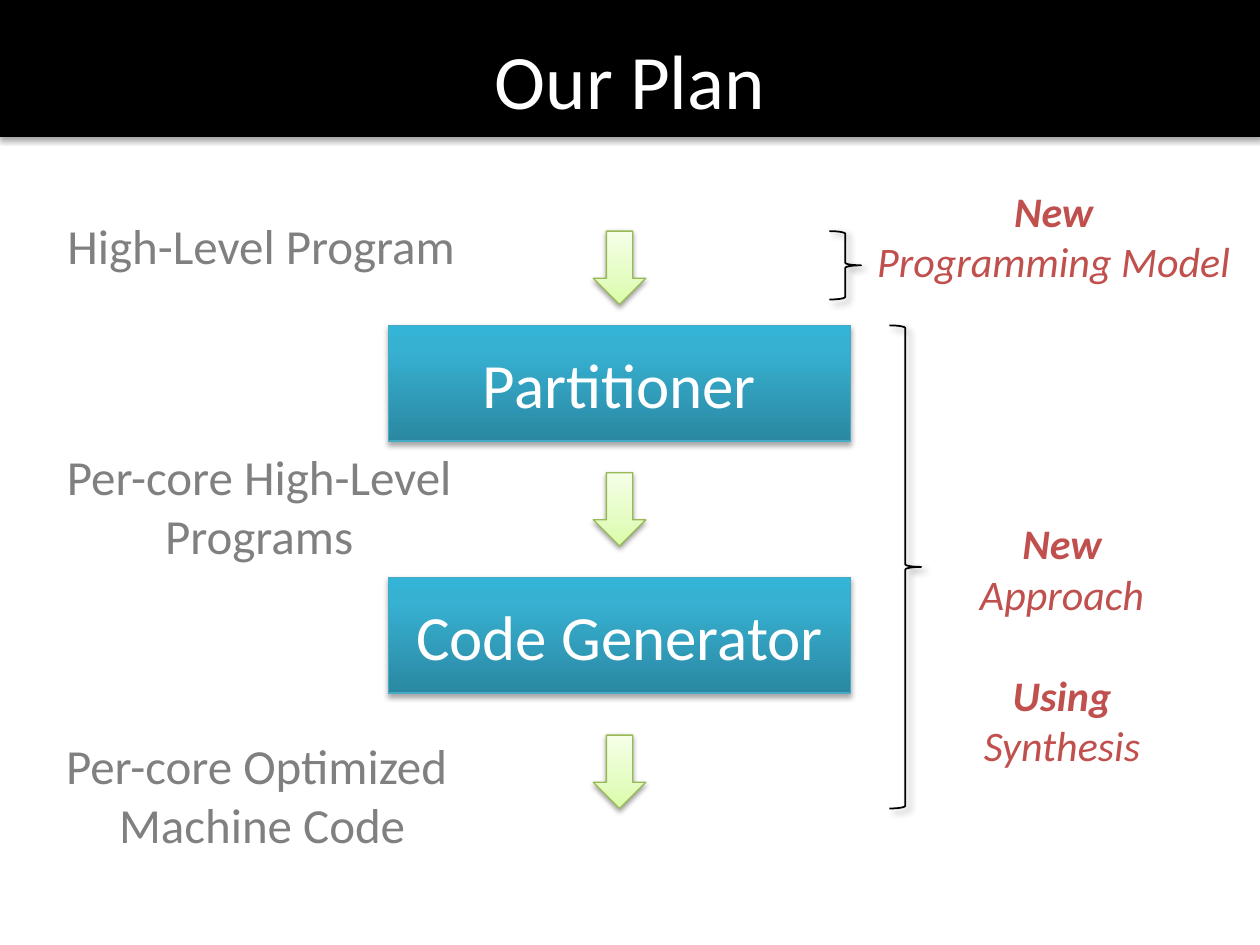
from dataclasses import dataclass

from lxml.etree import SubElement
from pptx import Presentation
from pptx.dml.color import RGBColor
from pptx.enum.shapes import MSO_SHAPE as Preset
from pptx.enum.text import MSO_ANCHOR as Anchor, PP_ALIGN as Align
from pptx.oxml.ns import qn
from pptx.shapes.autoshape import Shape
from pptx.slide import Slide
from pptx.text.text import TextFrame
from pptx.util import Cm, Pt


@dataclass(frozen=True)
class Shadow:
    opacity: int
    blur: float
    distance: float
    angle: int


@dataclass(frozen=True)
class Theme:
    font: str = "Calibri"
    black: str = "000000"
    white: str = "FFFFFF"
    gray: str = "808080"
    red: str = "C0504D"
    stage_line: str = "46AAC5"
    arrow_line: str = "98B955"
    stage_stops: tuple = ((0, "2A88A2"), (80, "37B1D2"), (100, "34B4D6"))
    arrow_stops: tuple = ((0, "DAFDA7"), (35, "E4FCC2"), (100, "F5FFE7"))
    block_shadow: Shadow = Shadow(35, 3.1, 1.8, 90)
    arrow_shadow: Shadow = Shadow(38, 3.1, 1.6, 90)
    brace_shadow: Shadow = Shadow(40, 4, 3, 45)
    title_size: int = 44
    stage_size: int = 36
    label_size: int = 28
    note_size: int = 24


THEME = Theme()


@dataclass(frozen=True)
class Box:
    """Place and size in centimetres."""
    left: float
    top: float
    width: float
    height: float

    def lengths(self) -> tuple:
        return Cm(self.left), Cm(self.top), Cm(self.width), Cm(self.height)


@dataclass(frozen=True)
class Line:
    text: str
    bold: bool = False
    italic: bool = False


@dataclass(frozen=True)
class Caption:
    """Paragraphs of lines; paragraph_gaps holds the points before each paragraph."""
    box: Box
    paragraphs: tuple
    size: int
    color: str
    wrap: bool = False
    paragraph_gaps: tuple = (0, 0, 0)


def label(box: Box, *texts: str, wrap: bool = False) -> Caption:
    lines = tuple(Line(text) for text in texts)
    return Caption(box, (lines,), THEME.label_size, THEME.gray, wrap)


def strong(text: str) -> Line:
    return Line(text, bold=True, italic=True)


def slanted(text: str) -> Line:
    return Line(text, italic=True)


CENTER = 12.49
STAGE_SIZE = (9.32, 2.33)
ARROW_SIZE = (1.06, 1.48)
STAGES = ((6.56, "Partitioner"), (11.64, "Code Generator"))
ARROW_TOPS = (4.66, 9.53, 14.82)
BRACES = (Box(16.72, 4.66, 0.64, 1.38), Box(17.93, 6.56, 0.64, 9.74))
CAPTIONS = (
    label(Box(1.06, 4.23, 8.41, 1.45), "High-Level Program"),
    label(Box(-0.63, 8.87, 11.71, 2.64), "Per-core High-Level", "Programs", wrap=True),
    label(Box(1.02, 14.7, 8.53, 2.64), "Per-core Optimized ", "Machine Code"),
    Caption(Box(17.25, 3.61, 7.98, 2.31),
            ((strong("New"), slanted("Programming Model")),),
            THEME.note_size, THEME.red),
    Caption(Box(19.48, 10.31, 3.86, 6.4),
            ((strong("New"), slanted("Approach")),
             (strong("Using"),), (slanted("Synthesis"),)),
            THEME.note_size, THEME.red, paragraph_gaps=(0, 29, 0)),
)


def centered(top: float, size: tuple) -> Box:
    return Box(CENTER - size[0] / 2, top, *size)


def set_font(font, size: int, color: str, bold: bool = False, italic: bool = False) -> None:
    values = {"name": THEME.font, "size": Pt(size), "bold": bold, "italic": italic}
    for name, value in values.items():
        setattr(font, name, value)
    font.color.rgb = RGBColor.from_string(color)


def write(frame: TextFrame, paragraphs: tuple, size: int, color: str,
          gaps: tuple = (0, 0, 0)) -> None:
    for index, lines in enumerate(paragraphs):
        paragraph = frame.add_paragraph() if index else frame.paragraphs[0]
        paragraph.alignment = Align.CENTER
        if gaps[index]:
            paragraph.space_before = Pt(gaps[index])
        for number, line in enumerate(lines):
            if number:
                paragraph.add_line_break()
            run = paragraph.add_run()
            run.text = line.text
            set_font(run.font, size, color, line.bold, line.italic)


def set_gradient(shape: Shape, stops: tuple) -> None:
    """Fill upward through any number of (percent, colour) stops."""
    shape.fill.gradient()
    shape.fill.gradient_angle = 90
    stop_list = shape.element.spPr.find(qn("a:gradFill")).find(qn("a:gsLst"))
    stop_list.clear()
    for percent, color in stops:
        stop = SubElement(stop_list, qn("a:gs"), pos=str(percent * 1000))
        SubElement(stop, qn("a:srgbClr"), val=color)


def set_shadow(shape: Shape, shadow: Shadow) -> None:
    shape.shadow.inherit = False
    effects = shape.element.spPr.find(qn("a:effectLst"))
    outer = SubElement(effects, qn("a:outerShdw"), blurRad=str(Pt(shadow.blur)),
                       dist=str(Pt(shadow.distance)), dir=str(shadow.angle * 60000),
                       rotWithShape="0")
    color = SubElement(outer, qn("a:srgbClr"), val=THEME.black)
    SubElement(color, qn("a:alpha"), val=str(shadow.opacity * 1000))


def add_preset(slide: Slide, preset: Preset, box: Box, line_color: str,
               shadow: Shadow, line_width: float = 0.75) -> Shape:
    shape = slide.shapes.add_shape(preset, *box.lengths())
    shape.line.color.rgb = RGBColor.from_string(line_color)
    shape.line.width = Pt(line_width)
    set_shadow(shape, shadow)
    return shape


def add_header(slide: Slide) -> None:
    bar = add_preset(slide, Preset.RECTANGLE, Box(0, 0, 25.4, 2.75),
                     THEME.black, THEME.block_shadow)
    bar.fill.solid()
    bar.fill.fore_color.rgb = RGBColor.from_string(THEME.black)
    title = slide.shapes.title
    title.element.addprevious(bar.element)
    title.left, title.top, title.width, title.height = Box(1.27, 0, 22.86, 3.18).lengths()
    title.text_frame.vertical_anchor = Anchor.MIDDLE
    write(title.text_frame, ((Line("Our Plan"),),), THEME.title_size, THEME.white)


def add_stage(slide: Slide, top: float, text: str) -> None:
    stage = add_preset(slide, Preset.RECTANGLE, centered(top, STAGE_SIZE),
                       THEME.stage_line, THEME.block_shadow)
    set_gradient(stage, THEME.stage_stops)
    stage.text_frame.vertical_anchor = Anchor.MIDDLE
    write(stage.text_frame, ((Line(text),),), THEME.stage_size, THEME.white)


def add_caption(slide: Slide, caption: Caption) -> None:
    frame = slide.shapes.add_textbox(*caption.box.lengths()).text_frame
    frame.word_wrap = caption.wrap
    write(frame, caption.paragraphs, caption.size, caption.color, caption.paragraph_gaps)


def main() -> None:
    presentation = Presentation()
    presentation.slide_width, presentation.slide_height = Cm(25.4), Cm(19.05)
    slide = presentation.slides.add_slide(presentation.slide_layouts[5])
    add_header(slide)
    for top, text in STAGES:
        add_stage(slide, top, text)
    for top in ARROW_TOPS:
        arrow = add_preset(slide, Preset.DOWN_ARROW, centered(top, ARROW_SIZE),
                           THEME.arrow_line, THEME.arrow_shadow)
        set_gradient(arrow, THEME.arrow_stops)
    for box in BRACES:
        brace = add_preset(slide, Preset.RIGHT_BRACE, box, THEME.black, THEME.brace_shadow, 1)
        brace.fill.background()
    for caption in CAPTIONS:
        add_caption(slide, caption)
    presentation.save("out.pptx")


if __name__ == "__main__":
    main()
